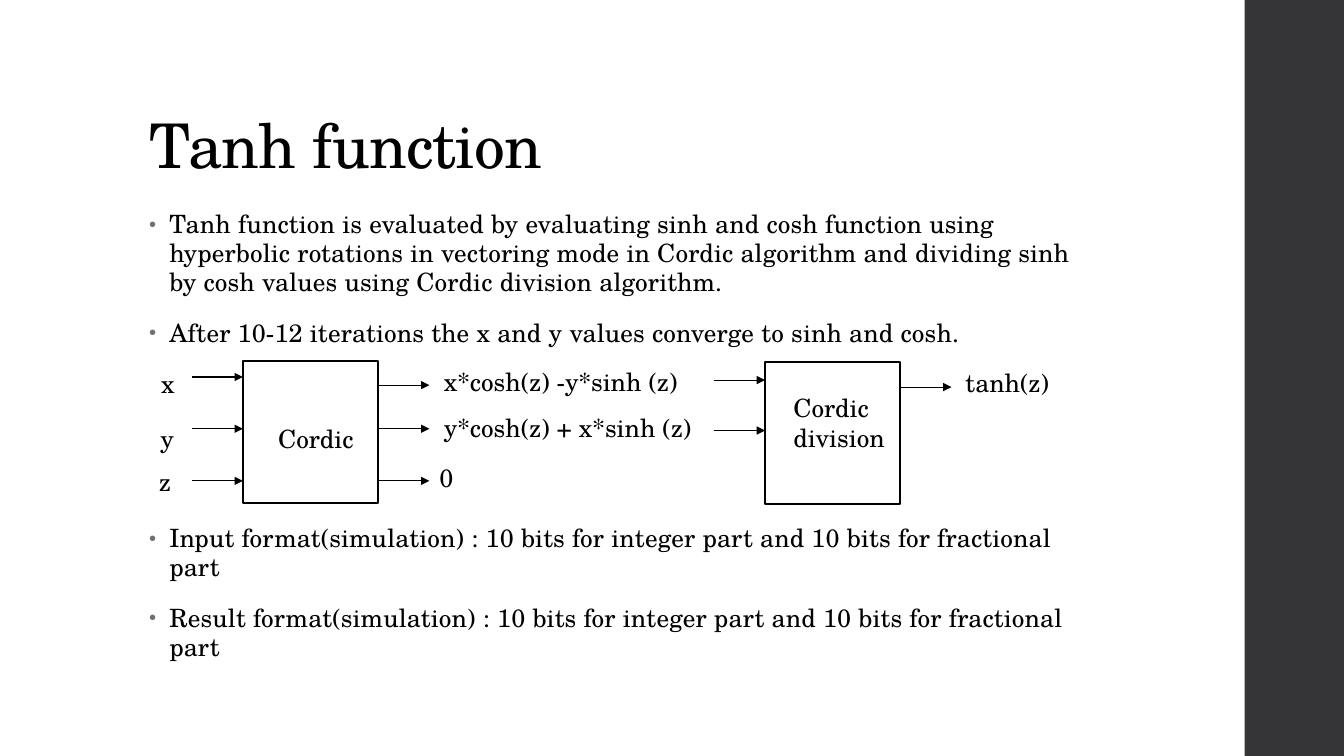
from lxml import etree
from pptx import Presentation
from pptx.dml.color import RGBColor
from pptx.enum.shapes import MSO_CONNECTOR, MSO_SHAPE
from pptx.enum.text import MSO_ANCHOR, MSO_AUTO_SIZE, PP_ALIGN
from pptx.oxml.ns import qn
from pptx.util import Pt

RECT = MSO_SHAPE.RECTANGLE
STRAIGHT = MSO_CONNECTOR.STRAIGHT
TOP, BOTTOM = MSO_ANCHOR.TOP, MSO_ANCHOR.BOTTOM
NO_FIT = MSO_AUTO_SIZE.NONE
LEFT = PP_ALIGN.LEFT

FONT = "TeX Gyre Schola"
INK, PAPER, BAR, BULLET = "000000", "FFFFFF", "353537", "6F6F74"
BLOCK_W, BLOCK_H = 96.5, 101.5
ARROW = 36.7
LABEL_RISE = 14.4

BULLETS = [
    ("Tanh function is evaluated by evaluating sinh and cosh function using hyperbolic "
     "rotations in vectoring mode in Cordic algorithm and dividing sinh by cosh values "
     "using Cordic division algorithm.", 14),
    ("After 10-12 iterations the x and y values converge to sinh and cosh.", 14),
    ("Input format(simulation) : 10 bits for integer part and 10 bits for fractional part", 124),
    ("Result format(simulation) : 10 bits for integer part and 10 bits for fractional part", 14),
]


def color(value):
    return RGBColor.from_string(value)


def add_run(p, text, size=18, spacing=0):
    r = p.add_run()
    r.text = text
    r.font.size = Pt(size)
    r.font.name = FONT
    r.font.color.rgb = color(INK)
    if spacing:
        r.font._element.set("spc", str(spacing))


def add_rect(s, x, y, w, h, fill, line_width=0):
    sp = s.shapes.add_shape(RECT, Pt(x), Pt(y), Pt(w), Pt(h))
    sp.shadow.inherit = False
    sp.fill.solid()
    sp.fill.fore_color.rgb = color(fill)
    if line_width:
        sp.line.color.rgb = color(INK)
        sp.line.width = Pt(line_width)
    else:
        sp.line.fill.background()
    return sp


def add_label(s, text, x, y, w):
    tf = s.shapes.add_textbox(Pt(x), Pt(y), Pt(w), Pt(28.8)).text_frame
    tf.word_wrap = True
    add_run(tf.paragraphs[0], text)


def add_arrow(s, x, y):
    line = s.shapes.add_connector(STRAIGHT, Pt(x), Pt(y), Pt(x + ARROW), Pt(y))
    line.line.color.rgb = color(INK)
    line.line.width = Pt(0.75)
    spPr = line._element.spPr
    etree.SubElement(spPr.find(qn("a:ln")), qn("a:tailEnd"), type="triangle")
    etree.SubElement(spPr, qn("a:effectLst"))


def add_title(s, x, y, w, h):
    sp = s.shapes.title
    sp.left, sp.top, sp.width, sp.height = Pt(x), Pt(y), Pt(w), Pt(h)
    tf = sp.text_frame
    tf.auto_size = NO_FIT
    tf.vertical_anchor = BOTTOM
    p = tf.paragraphs[0]
    p.alignment = LEFT
    p.line_spacing = 0.9
    add_run(p, "Tanh function", 44, -50)


def add_bullets(s, x, y, w, h):
    tf = s.shapes.add_textbox(Pt(x), Pt(y), Pt(w), Pt(h)).text_frame
    tf.word_wrap = True
    for i, (text, before) in enumerate(BULLETS):
        p = tf.add_paragraph() if i else tf.paragraphs[0]
        p.line_spacing = 0.95
        p.space_before, p.space_after = Pt(before), Pt(2)
        pPr = p._p.get_or_add_pPr()
        pPr.set("marL", str(Pt(14.4)))
        pPr.set("indent", str(Pt(-14.4)))
        clr = etree.SubElement(pPr, qn("a:buClr"))
        etree.SubElement(clr, qn("a:srgbClr"), val=BULLET)
        etree.SubElement(pPr, qn("a:buSzPct"), val="80000")
        etree.SubElement(pPr, qn("a:buFont"), typeface="Arial")
        etree.SubElement(pPr, qn("a:buChar"), char="•")
        add_run(p, text, spacing=10)


def add_block(s, x, y, name, inset, inputs, outputs, labels):
    sp = add_rect(s, x, y, BLOCK_W, BLOCK_H, PAPER, 1.1)
    tf = sp.text_frame
    tf.word_wrap = True
    tf.vertical_anchor = TOP
    tf.margin_left, tf.margin_top = Pt(inset[0]), Pt(inset[1])
    tf.margin_right = tf.margin_bottom = Pt(0)
    tf.paragraphs[0].alignment = LEFT
    add_run(tf.paragraphs[0], name)
    for dy in inputs:
        add_arrow(s, x - ARROW, y + dy)
    for dy in outputs:
        add_arrow(s, x + BLOCK_W, y + dy)
    for text, dx, dy, w in labels:
        add_label(s, text, x + dx, y + dy - LABEL_RISE, w)


def main():
    prs = Presentation()
    prs.slide_width, prs.slide_height = Pt(960), Pt(540)
    s = prs.slides.add_slide(prs.slide_layouts[5])
    add_rect(s, 889, 0, 71, 540, BAR)
    add_title(s, 99.4, 28.8, 763, 104.4)
    add_bullets(s, 99.4, 147, 677, 378.7)
    add_block(s, 173.5, 257.8, "Cordic", (25.2, 44.6),
              [11.5, 48.5, 85.7], [17.3, 48.5, 85.7],
              [("x", -65.5, 16.5, 30), ("y", -66, 55.4, 30), ("z", -67, 86.4, 30),
               ("x*cosh(z) -y*sinh (z)", 136.5, 14.4, 200),
               ("y*cosh(z) + x*sinh (z)", 136.5, 47.5, 200),
               ("0", 133.2, 83.5, 67)])
    add_block(s, 546.5, 258.5, "Cordic division", (20.2, 21.6),
              [13, 49], [18],
              [("tanh(z)", 136, 14.4, 105)])
    prs.save("out.pptx")


if __name__ == "__main__":
    main()
